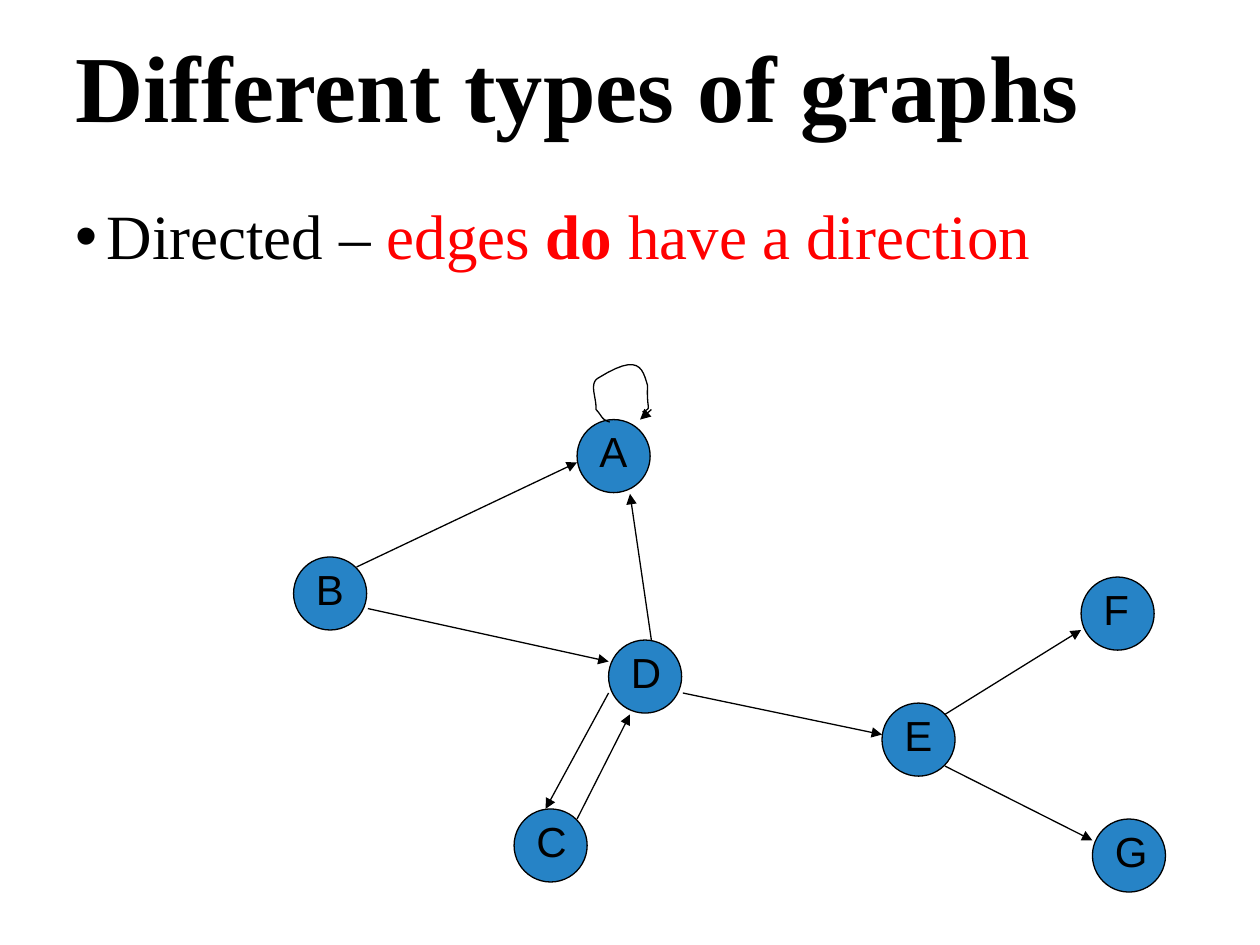
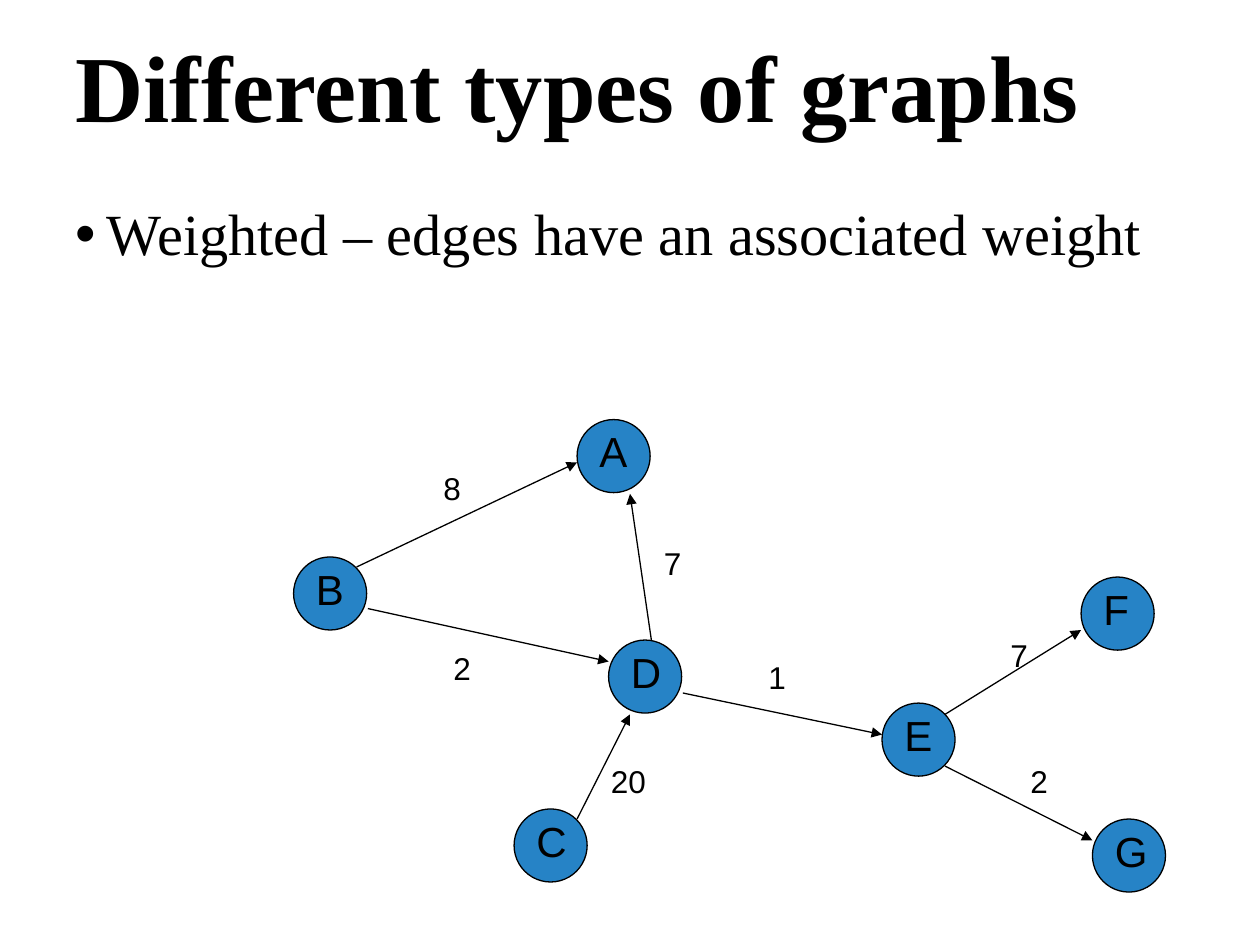
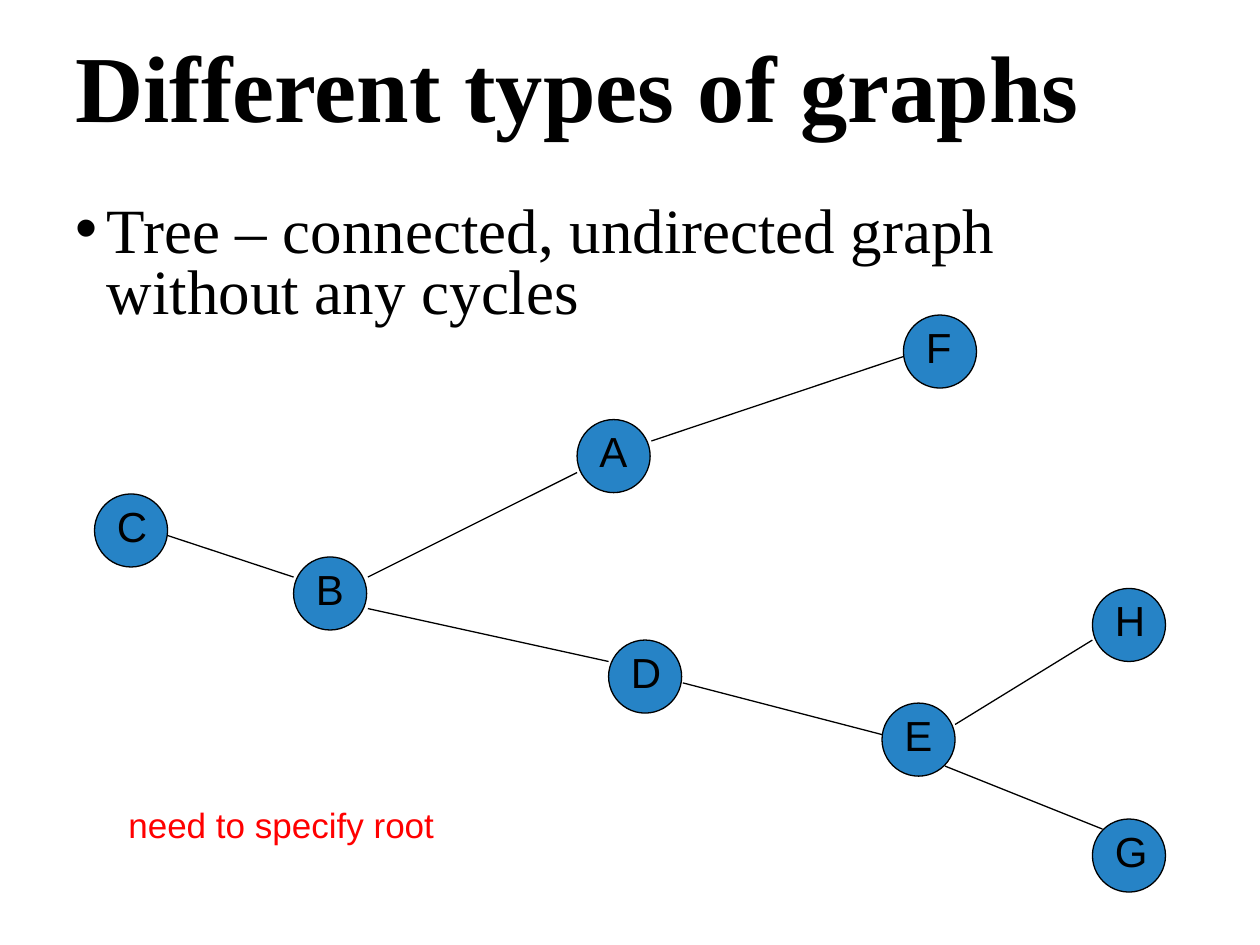
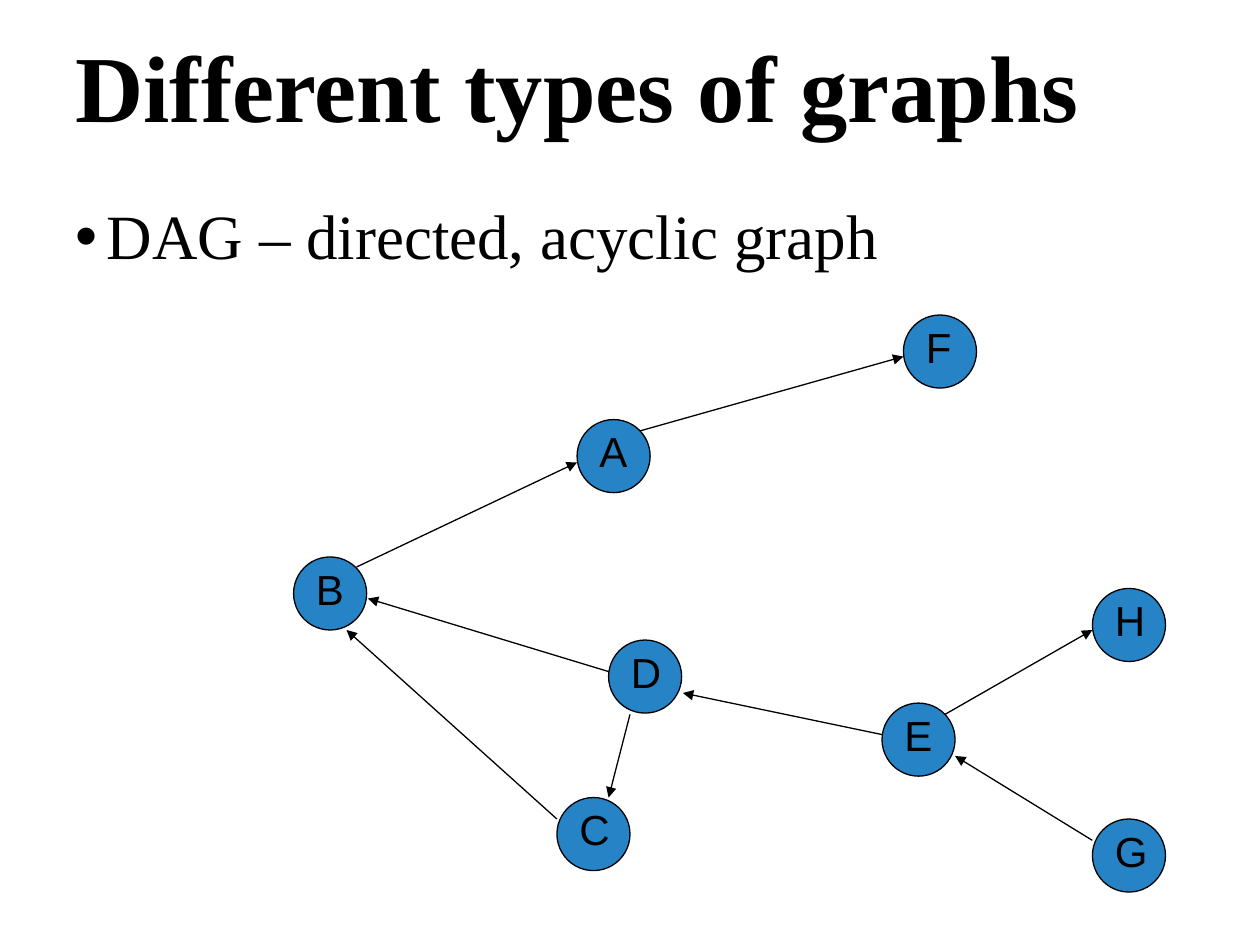
"""Build four slides on the types of graphs."""
import pptx
import pptx.util
import pptx.dml.color
import pptx.enum.shapes
import pptx.enum.text
import pptx.oxml.ns
from lxml import etree

Inches = pptx.util.Inches
Pt = pptx.util.Pt
qn = pptx.oxml.ns.qn
BLACK = pptx.dml.color.RGBColor(0x00, 0x00, 0x00)
RED = pptx.dml.color.RGBColor(0xFF, 0x00, 0x00)
BLUE = pptx.dml.color.RGBColor(0x26, 0x83, 0xC6)
SERIF = "Times New Roman"
SANS = "Arial"
SIZE = 0.58


def write(shapes, box, runs, size=24, font=SANS, space=None, bullet=False,
          anchor=pptx.enum.text.MSO_ANCHOR.TOP, grow=False):
    """Add a text box; each run is text, colour and bold."""
    area = shapes.add_textbox(*[Inches(n) for n in box])
    frame = area.text_frame
    frame.word_wrap = True
    frame.vertical_anchor = anchor
    if grow:
        frame.auto_size = pptx.enum.text.MSO_AUTO_SIZE.SHAPE_TO_FIT_TEXT
    para = frame.paragraphs[0]
    if bullet:
        props = para._p.get_or_add_pPr()
        props.set("marL", str(Inches(0.25)))
        props.set("indent", str(Inches(-0.25)))
        etree.SubElement(props, qn("a:buFont")).set("typeface", SANS)
        etree.SubElement(props, qn("a:buChar")).set("char", "•")
    if space:
        para.line_spacing = space
    for text, color, bold in runs:
        run = para.add_run()
        run.text = text
        run.font.size = Pt(size)
        run.font.name = font
        run.font.bold = bold
        run.font.color.rgb = color


def join(shapes, start, end, arrow):
    """Draw one edge from start to end."""
    kind = pptx.enum.shapes.MSO_CONNECTOR.STRAIGHT
    edge = shapes.add_connector(kind, *[Inches(n) for n in start + end])
    edge.line.color.rgb = BLACK
    edge.line.width = Pt(0.75)
    if arrow:
        line = edge.line._get_or_add_ln()
        etree.SubElement(line, qn("a:tailEnd")).set("type", "triangle")
    etree.SubElement(edge._element.spPr, qn("a:effectLst"))


CORE = {"A": (4.58, 3.33), "B": (2.33, 4.42), "D": (4.83, 5.08),
        "E": (7, 5.58), "G": (8.67, 6.5)}
NET = CORE | {"C": (4.08, 6.42), "F": (8.58, 4.58)}
WIDE = CORE | {"F": (7.17, 2.5), "H": (8.67, 4.67)}
FLOW = [((2.83, 4.5), (4.58, 3.67)), ((2.92, 4.83), (4.83, 5.25)),
        ((5.17, 5.08), (5, 3.92)), ((4.58, 6.5), (5, 5.67)),
        ((5.42, 5.5), (7, 5.83)), ((7.5, 5.67), (8.58, 5)),
        ((7.5, 6.08), (8.67, 6.67))]
BACK = [((4.83, 5.5), (4.33, 6.42)), ((5.17, 3.25), (5.08, 3.33))]
TREE = [((2.92, 4.58), (4.58, 3.75)), ((2.92, 4.83), (4.83, 5.25)),
        ((7.17, 2.83), (5.17, 3.5)), ((5.42, 5.42), (7, 5.83)),
        ((7.58, 5.75), (8.67, 5.08)), ((7.5, 6.08), (8.75, 6.58)),
        ((1.33, 4.25), (2.33, 4.58))]
DAG = [((2.83, 4.5), (4.58, 3.67)), ((5.08, 3.42), (7.17, 2.83)),
       ((4.83, 5.33), (2.92, 4.75)), ((4.42, 6.5), (2.75, 5)),
       ((5, 5.67), (4.83, 6.33)), ((7, 5.83), (5.42, 5.5)),
       ((7.5, 5.67), (8.67, 5)), ((8.67, 6.67), (7.58, 6))]
COSTS = [("8", 3.42, 3.67), ("2", 3.5, 5.1), ("7", 5.17, 4.27),
         ("20", 4.75, 6), ("1", 6, 5.17), ("7", 7.92, 5), ("2", 8.08, 6)]
LOOP = [(4.84, 3.35), (4.77, 3.33), (4.78, 3.3), (4.73, 3.25),
        (4.74, 3.17), (4.67, 3.04), (4.75, 3),
        (5.07, 2.8), (5.1, 2.92), (5.14, 3.06),
        (5.13, 3.27), (5.18, 3.23), (5.1, 3.27)]
STEPS = 12

PAGES = [
    ([("Directed – ", BLACK, False), ("edges ", RED, False),
      ("do", RED, True), (" have a direction", RED, False)],
     36, 0.9, 0.83, NET, FLOW + BACK, True),
    ([("Weighted – edges have an associated weight", BLACK, False)],
     33.3, 0.9, 0.83, NET, FLOW, True),
    ([("Tree – connected, undirected graph without any cycles", BLACK, False)],
     36, 0.8, 1.08, WIDE | {"C": (0.75, 3.92)}, TREE, False),
    ([("DAG – directed, acyclic graph", BLACK, False)],
     36, 0.9, 1.08, WIDE | {"C": (4.42, 6.33)}, DAG, True),
]

deck = pptx.Presentation()
deck.slide_width = Inches(10)
deck.slide_height = Inches(7.5)
views = []
for runs, size, space, high, nodes, edges, arrow in PAGES:
    shapes = deck.slides.add_slide(deck.slide_layouts[6]).shapes
    views.append(shapes)
    write(shapes, (0.5, 0.13, 8.25, 1.2),
          [("Different types of graphs", BLACK, True)], size=54, font=SERIF,
          space=0.9, anchor=pptx.enum.text.MSO_ANCHOR.MIDDLE)
    write(shapes, (0.5, 1.58, 9, high), runs, size=size, font=SERIF,
          space=space, bullet=True)
    for name, (left, top) in nodes.items():
        group = shapes.add_group_shape().shapes
        disc = group.add_shape(pptx.enum.shapes.MSO_SHAPE.OVAL, Inches(left),
                               Inches(top), Inches(SIZE), Inches(SIZE))
        disc.shadow.inherit = False
        disc.fill.solid()
        disc.fill.fore_color.rgb = BLUE
        disc.line.color.rgb = BLACK
        disc.line.width = Pt(0.75)
        write(group, (left + 0.08, top, 0.5, 0.51), [(name, BLACK, False)],
              grow=True)
    for start, end in edges:
        join(shapes, start, end, arrow)

dots = []
for first in range(0, len(LOOP) - 1, 3):
    curve = LOOP[first:first + 4]
    for step in range(1, STEPS + 1):
        t = step / STEPS
        parts = ((1 - t) ** 3, 3 * t * (1 - t) ** 2, 3 * t * t * (1 - t), t ** 3)
        dots.append(tuple(Inches(sum(w * p[axis] for w, p in zip(parts, curve)))
                          for axis in (0, 1)))
pen = views[0].build_freeform(Inches(LOOP[0][0]), Inches(LOOP[0][1]))
pen.add_line_segments(dots, close=False)
ring = pen.convert_to_shape()
ring.shadow.inherit = False
ring.fill.background()
ring.line.color.rgb = BLACK
ring.line.width = Pt(0.75)

for cost, left, top in COSTS:
    write(views[1], (left, top, 0.58, 0.4), [(cost, BLACK, False)], size=18,
          grow=True)
write(views[2], (0.92, 6.33, 2.92, 0.44),
      [("need to specify root", RED, False)], size=20, grow=True)

deck.save("out.pptx")
